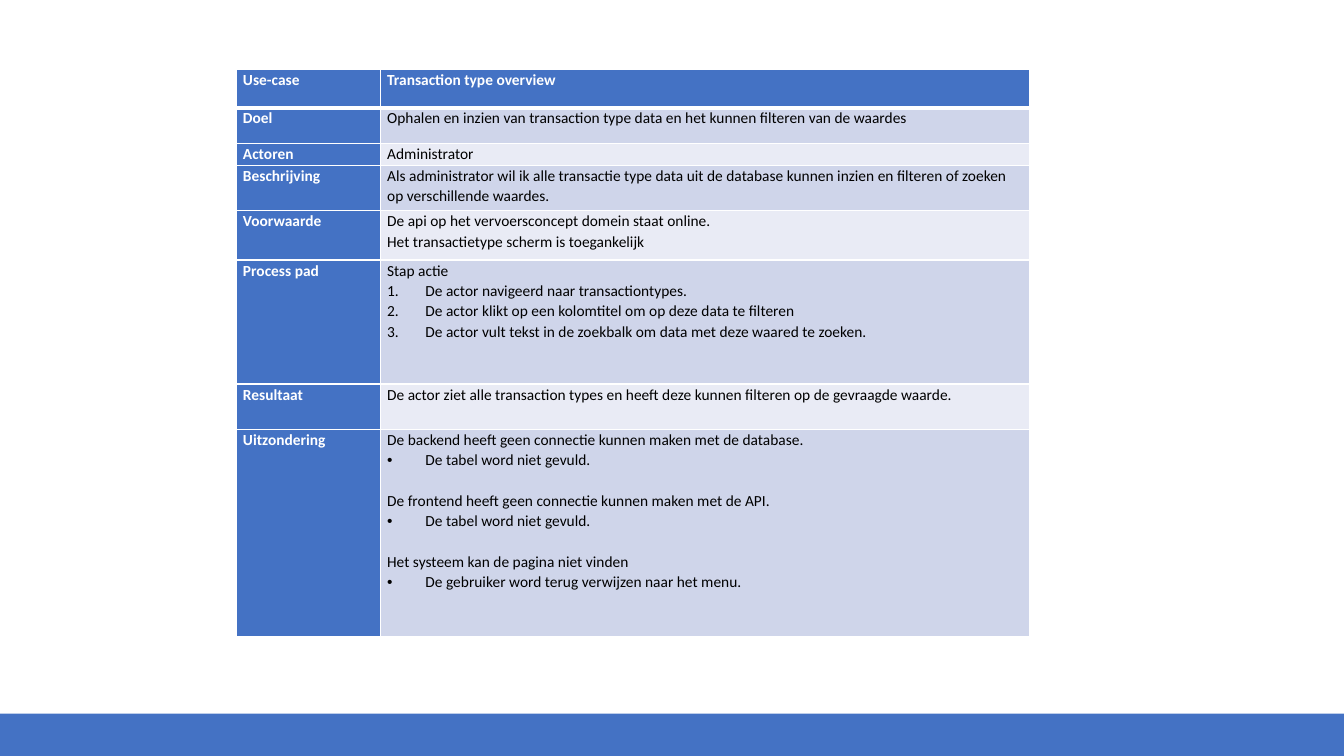
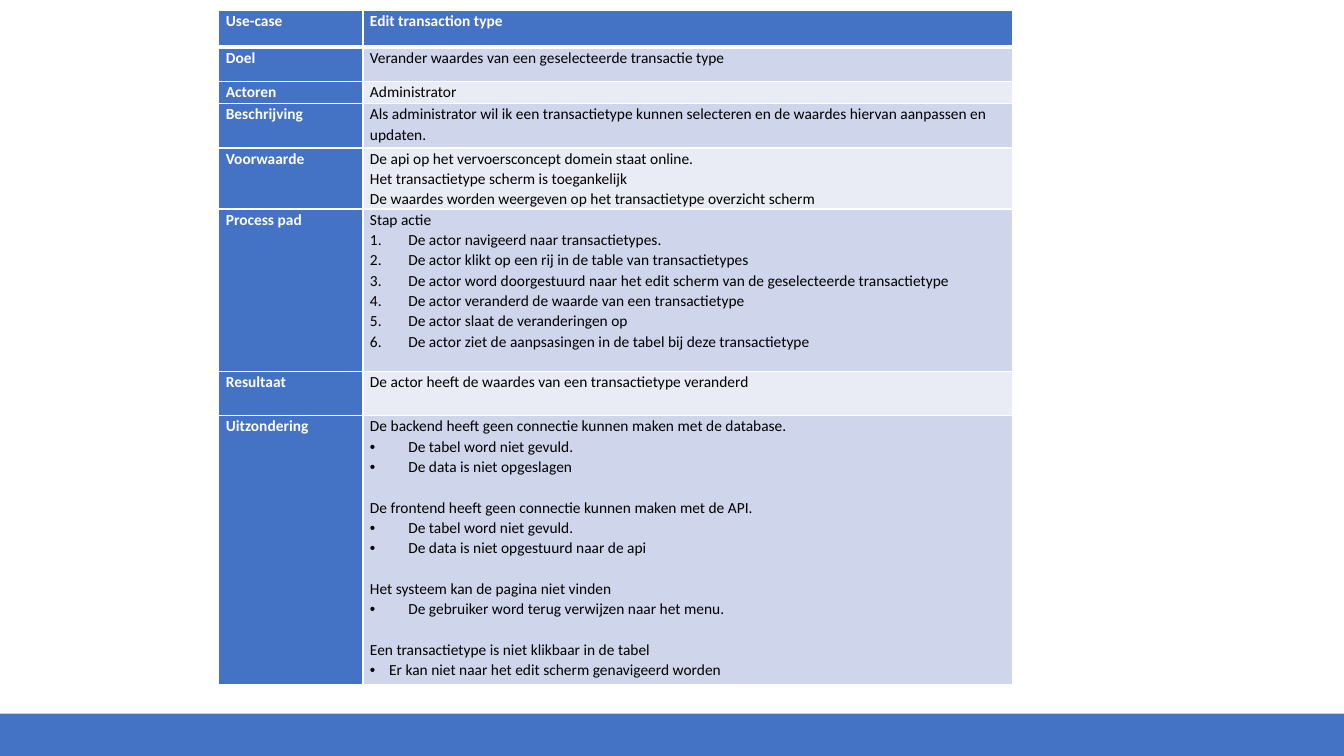
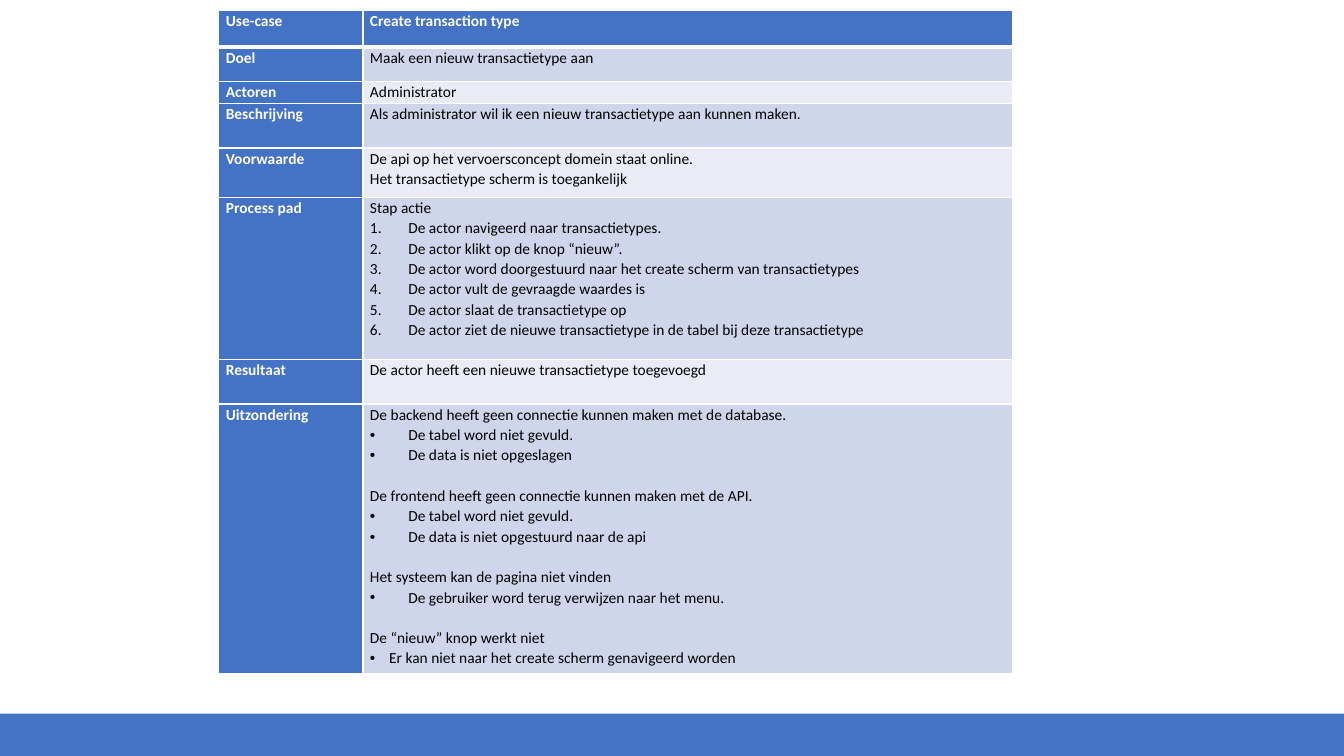
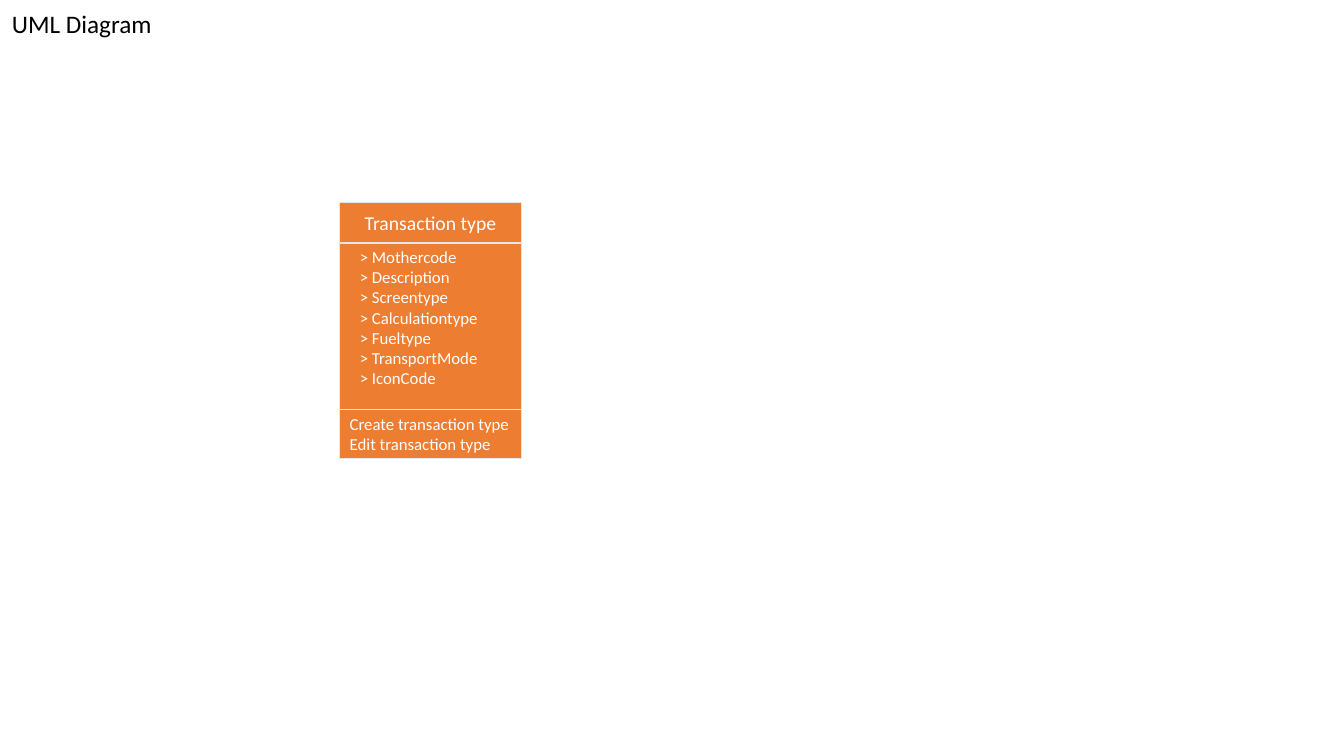
from pptx import Presentation
from pptx import util as u
from pptx.dml.color import RGBColor
from pptx.enum import shapes, text
from lxml import etree

NS = "http://schemas.openxmlformats.org/drawingml/2006/main"
HUE = {"blue": "4472C4", "dark": "CFD5EA", "pale": "E9EBF5",
       "orange": "ED7D31", "edge": "E7E6E6", "white": "FFFFFF", "black": "000000"}
RGB = {name: RGBColor.from_string(code) for name, code in HUE.items()}
FONT = "Calibri"

deck = Presentation()
deck.slide_width, deck.slide_height = u.Inches(13.33), u.Inches(7.5)
blank = deck.slide_layouts[6]


def box(slide, at, fill, line=None):
    """Add a flat rectangle."""
    rect = slide.shapes.add_shape(shapes.MSO_SHAPE.RECTANGLE, *map(u.Inches, at))
    rect.shadow.inherit = False
    rect.fill.solid()
    rect.fill.fore_color.rgb = RGB[fill]
    if line:
        rect.line.color.rgb = RGB[line]
        rect.line.width = u.Pt(1)
    else:
        rect.line.fill.background()
    return rect


def write(frame, lines, size, hue, bold=False, align=text.PP_ALIGN.LEFT, lead=None):
    """Fill a frame; "# " numbers a line, "* " and "- " give wide and narrow bullets."""
    frame.word_wrap = True
    listed = False
    for i, line in enumerate(lines):
        para = frame.paragraphs[0] if i == 0 else frame.add_paragraph()
        para.alignment = align
        if lead:
            para.line_spacing = lead
        mark = line[0] if line[:2] in ("# ", "* ", "- ") else ""
        if mark:
            line = line[2:]
            prop = para._p.get_or_add_pPr()
            step = u.Inches(0.19 if mark == "-" else 0.38)
            prop.set("marL", str(step))
            prop.set("indent", str(-step))
            if mark == "#":
                etree.SubElement(prop, f"{{{NS}}}buAutoNum", type="arabicPeriod")
            else:
                etree.SubElement(prop, f"{{{NS}}}buFont", typeface="Arial")
                etree.SubElement(prop, f"{{{NS}}}buChar", char="•")
        elif listed:
            # One line of air between a list and the next heading
            para.space_before = u.Pt(14.5)
        listed = bool(mark)
        run = para.add_run()
        run.text = line
        run.font.name, run.font.size, run.font.bold = FONT, u.Pt(size), bold
        run.font.color.rgb = RGB[hue]


# Wording that the use cases share
LABELS = ["Use-case", "Doel", "Actoren", "Beschrijving", "Voorwaarde",
          "Process pad", "Resultaat", "Uitzondering"]
ADMIN = ["Administrator"]
READY = ["De api op het vervoersconcept domein staat online.",
         "Het transactietype scherm is toegankelijk"]
BACK = ["De backend heeft geen connectie kunnen maken met de database.",
        "* De tabel word niet gevuld."]
FRONT = ["De frontend heeft geen connectie kunnen maken met de API.",
         "* De tabel word niet gevuld."]
LOST = ["Het systeem kan de pagina niet vinden",
        "* De gebruiker word terug verwijzen naar het menu."]
FAULTS = (BACK + ["* De data is niet opgeslagen"]
          + FRONT + ["* De data is niet opgestuurd naar de api"] + LOST)
STEPS = ["Stap actie", "# De actor navigeerd naar transactietypes."]
TALL = [0.37, 0.34, 0.22, 0.44, 0.49, 1.61, 0.44, 2.67]

# Each use case: left, top, row heights, contents
CASES = [
    (2.34, 0.69, [0.38, 0.35, 0.22, 0.45, 0.49, 1.23, 0.45, 2.06], [
        ["Transaction type overview"],
        ["Ophalen en inzien van transaction type data en het kunnen filteren van de waardes"],
        ADMIN,
        ["Als administrator wil ik alle transactie type data uit de database kunnen inzien "
         "en filteren of zoeken op verschillende waardes."],
        READY,
        ["Stap actie",
         "# De actor navigeerd naar transactiontypes.",
         "# De actor klikt op een kolomtitel om op deze data te filteren",
         "# De actor vult tekst in de zoekbalk om data met deze waared te zoeken."],
        ["De actor ziet alle transaction types en heeft deze kunnen filteren "
         "op de gevraagde waarde."],
        BACK + FRONT + LOST]),
    (2.17, 0.1, TALL, [
        ["Edit transaction type"],
        ["Verander waardes van een geselecteerde transactie type"],
        ADMIN,
        ["Als administrator wil ik een transactietype kunnen selecteren en de waardes "
         "hiervan aanpassen en updaten."],
        READY + ["De waardes worden weergeven op het transactietype overzicht scherm"],
        STEPS + [
            "# De actor klikt op een rij in de table van transactietypes",
            "# De actor word doorgestuurd naar het edit scherm van de geselecteerde transactietype",
            "# De actor veranderd de waarde van een transactietype",
            "# De actor slaat de veranderingen op",
            "# De actor ziet de aanpsasingen in de tabel bij deze transactietype"],
        ["De actor heeft de waardes van een transactietype veranderd"],
        FAULTS + ["Een transactietype is niet klikbaar in de tabel",
                  "- Er kan niet naar het edit scherm genavigeerd worden"]]),
    (2.17, 0.1, TALL, [
        ["Create transaction type"],
        ["Maak een nieuw transactietype aan"],
        ADMIN,
        ["Als administrator wil ik een nieuw transactietype aan kunnen maken."],
        READY,
        STEPS + [
            "# De actor klikt op de knop “nieuw”.",
            "# De actor word doorgestuurd naar het create scherm van transactietypes",
            "# De actor vult de gevraagde waardes is",
            "# De actor slaat de transactietype op",
            "# De actor ziet de nieuwe transactietype in de tabel bij deze transactietype"],
        ["De actor heeft een nieuwe transactietype toegevoegd"],
        FAULTS + ["De “nieuw” knop werkt niet",
                  "- Er kan niet naar het create scherm genavigeerd worden"]]),
]

# Use case slides
for left, top, highs, body in CASES:
    slide = deck.slides.add_slide(blank)
    box(slide, (0, 7.08, 13.33, 0.42), "blue")
    grid = slide.shapes.add_table(
        len(LABELS), 2, *map(u.Inches, (left, top, 7.87, sum(highs)))).table
    grid.columns[0].width, grid.columns[1].width = u.Inches(1.43), u.Inches(6.44)
    for r, (label, lines, high) in enumerate(zip(LABELS, body, highs)):
        grid.rows[r].height = u.Inches(high)
        for c, words in enumerate(([label], lines)):
            cell = grid.cell(r, c)
            cell.margin_left = cell.margin_right = u.Inches(0.07)
            cell.margin_top = cell.margin_bottom = 0
            head = r == 0 or c == 0
            fill = "blue" if head else "dark" if r % 2 else "pale"
            cell.fill.solid()
            cell.fill.fore_color.rgb = RGB[fill]
            write(cell.text_frame, words, 11, "white" if head else "black", head, lead=1.07)
            # White rules, thick below the header
            prop = cell._tc.get_or_add_tcPr()
            for i, side in enumerate("LRTB"):
                thick = (r, side) in ((0, "B"), (1, "T"))
                rule = etree.Element(f"{{{NS}}}ln{side}", w=str(u.Pt(3 if thick else 1)))
                paint = etree.SubElement(rule, f"{{{NS}}}solidFill")
                etree.SubElement(paint, f"{{{NS}}}srgbClr", val=HUE["white"])
                prop.insert(i, rule)

# UML slide: class box with name, fields and actions
slide = deck.slides.add_slide(blank)
box(slide, (3.37, 2.01, 1.8, 2.54), "orange", "edge")
name = box(slide, (3.37, 2.01, 1.8, 0.4), "orange", "edge")
write(name.text_frame, ["Transaction type"], 14, "white", align=text.PP_ALIGN.CENTER)
fields = slide.shapes.add_textbox(*map(u.Inches, (3.47, 2.4, 1.87, 1.51)))
write(fields.text_frame,
      ["> Mothercode", "> Description", "> Screentype", "> Calculationtype",
       "> Fueltype", "> TransportMode", "> IconCode"], 12, "white")
acts = box(slide, (3.37, 4.06, 1.8, 0.49), "orange", "edge")
write(acts.text_frame, ["Create transaction type", "Edit transaction type"], 12, "white")
for part in (name, acts):
    part.text_frame.vertical_anchor = text.MSO_ANCHOR.MIDDLE
title = slide.shapes.add_textbox(*map(u.Inches, (0.02, 0.03, 2.42, 0.4)))
write(title.text_frame, ["UML Diagram"], 18, "black")

deck.save("out.pptx")
